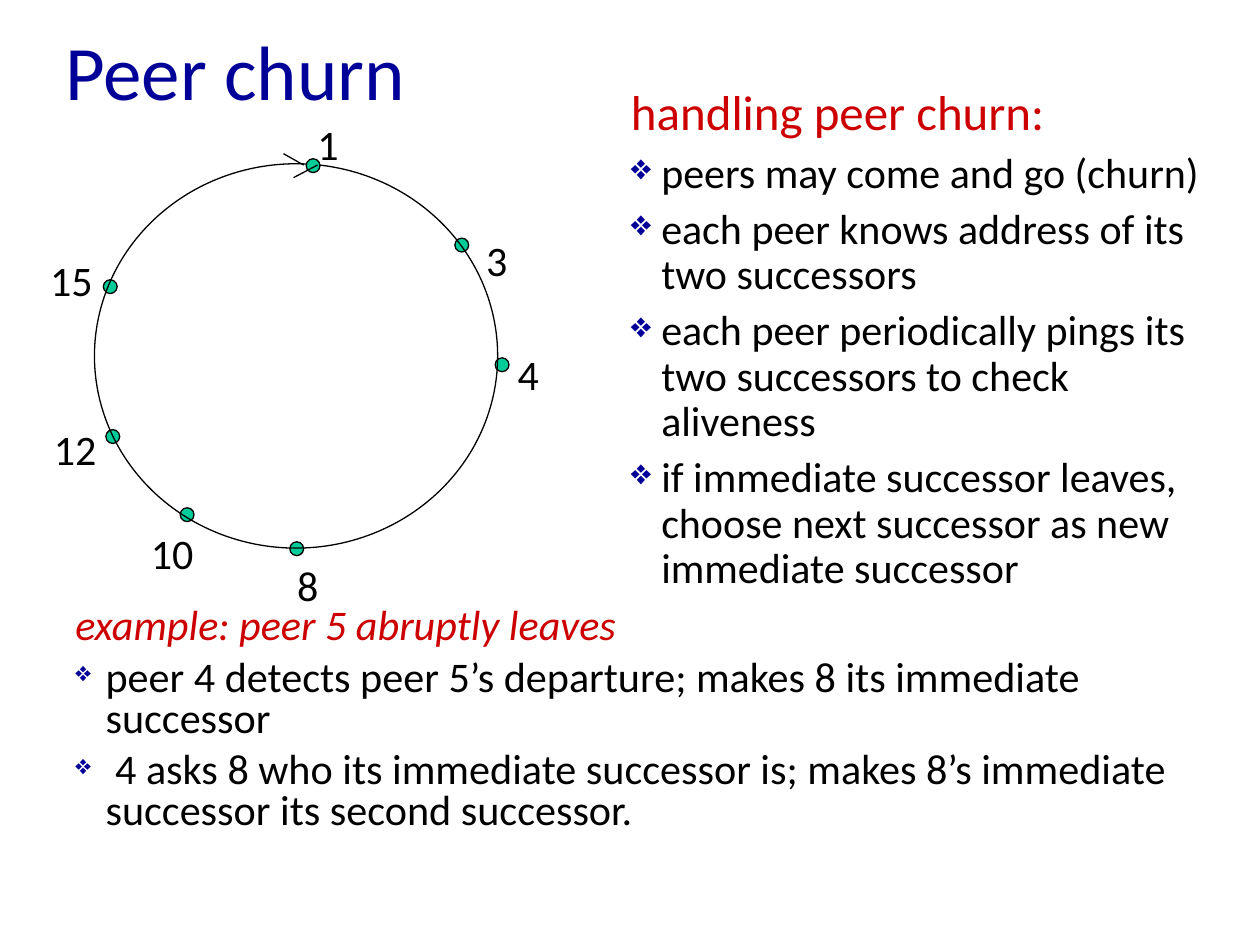
from lxml.etree import SubElement
from pptx import Presentation
from pptx.dml.color import RGBColor
from pptx.enum.shapes import MSO_CONNECTOR as Connector, MSO_SHAPE as Shape
from pptx.enum.text import MSO_ANCHOR as Anchor
from pptx.oxml.ns import qn
from pptx.util import Inches, Pt

FONT = "Calibri"
BLUE, RED, BLACK, GREEN = "000099", "CC0000", "000000", "00CC99"
DOT = 0.11

# Peer number, dot left and top, label left and top
PEERS = [
    ("8", 2.3, 4.3, 2.26, 4.39),
    ("15", 0.82, 2.22, 0.3, 1.97),
    ("12", 0.84, 3.41, 0.33, 3.31),
    ("3", 3.61, 1.89, 3.76, 1.81),
    ("4", 3.93, 2.84, 4.01, 2.72),
    ("10", 1.43, 4.03, 1.1, 4.14),
    ("1", 2.43, 1.26, 2.42, 0.89),
]
ARROW = [(2.25, 1.22, 2.41, 1.31), (2.52, 1.31, 2.33, 1.41)]

HANDLING = [
    "peers may come and go (churn)",
    "each peer knows address of its two successors",
    "each peer periodically pings its \ntwo successors to check aliveness",
    "if immediate successor leaves, choose next successor as new immediate successor",
]
EXAMPLE = [
    "peer 4 detects peer 5’s departure; makes 8 its immediate successor",
    " 4 asks 8 who its immediate successor is; makes 8’s immediate successor its second successor.",
]


def color(value):
    return RGBColor.from_string(value)


def add_frame(page, left, top, width, height, wrap=True, anchor=Anchor.TOP):
    box = page.shapes.add_textbox(Inches(left), Inches(top), Inches(width), Inches(height))
    frame = box.text_frame
    frame.word_wrap = wrap
    frame.vertical_anchor = anchor
    return frame


def add_bullet(para, percent):
    props = para._p.get_or_add_pPr()
    props.set("marL", str(Inches(0.24)))
    props.set("indent", str(-Inches(0.24)))
    fill = SubElement(props, qn("a:buClr"))
    SubElement(fill, qn("a:srgbClr"), val=BLUE)
    SubElement(props, qn("a:buSzPct"), val=str(percent * 1000))
    SubElement(props, qn("a:buChar"), char="❖")


def write(frame, text, size=24, ink=BLACK, italic=False, before=0, spacing=None, bullet=None):
    """Fill the first paragraph of the frame, or add one after it."""
    first = frame.paragraphs[0]
    para = frame.add_paragraph() if first.runs else first
    para.space_before = Pt(before)
    if spacing:
        para.line_spacing = spacing
    if bullet:
        add_bullet(para, bullet)
    for number, line in enumerate(text.split("\n")):
        if number:
            para.add_line_break()
        span = para.add_run()
        span.text = line
        font = span.font
        font.name, font.size, font.italic = FONT, Pt(size), italic
        font.color.rgb = color(ink)


def add_oval(page, left, top, width, height, fill=None):
    oval = page.shapes.add_shape(
        Shape.OVAL, Inches(left), Inches(top), Inches(width), Inches(height))
    oval.shadow.inherit = False
    if fill:
        oval.fill.solid()
        oval.fill.fore_color.rgb = color(fill)
    else:
        oval.fill.background()
    oval.line.color.rgb = color(BLACK)
    oval.line.width = Pt(0.75)


def add_line(page, *ends):
    line = page.shapes.add_connector(Connector.STRAIGHT, *map(Inches, ends))
    line.line.color.rgb = color(BLACK)
    line.line.width = Pt(0.75)
    SubElement(line._element.spPr, qn("a:effectLst"))


def add_title(page, *area):
    write(add_frame(page, *area, anchor=Anchor.MIDDLE), "Peer churn", size=44, ink=BLUE)


def add_ring(page, left, top, width, height):
    # Peers and arrow are stored for a ring at (0.75, 1.3)
    dx, dy = left - 0.75, top - 1.3

    def add_dot(peer):
        add_oval(page, peer[1] + dx, peer[2] + dy, DOT, DOT, GREEN)

    # Peer 1 lies above the ring, the others below it
    for peer in PEERS[:-1]:
        add_dot(peer)
    add_oval(page, left, top, width, height)
    for number, _, _, label_left, label_top in PEERS:
        label_width = 0.2 + 0.17 * len(number)
        frame = add_frame(page, label_left + dx, label_top + dy, label_width, 0.5, wrap=False)
        write(frame, number, before=6)
    add_dot(PEERS[-1])
    # Direction arrow at peer 1
    for x1, y1, x2, y2 in ARROW:
        add_line(page, x1 + dx, y1 + dy, x2 + dx, y2 + dy)


def add_handling(page, *area):
    frame = add_frame(page, *area)
    write(frame, "handling peer churn:", size=28, ink=RED, before=7)
    for text in HANDLING:
        write(frame, text, before=6, spacing=Pt(26), bullet=85)


def add_example(page, *area):
    frame = add_frame(page, *area)
    style = dict(size=24.1, before=6.5, spacing=0.8)
    write(frame, "example: peer 5 abruptly leaves", ink=RED, italic=True, **style)
    for text in EXAMPLE:
        write(frame, text, bullet=65, **style)


def main():
    deck = Presentation()
    deck.slide_width, deck.slide_height = Inches(10), Inches(7.5)
    page = deck.slides.add_slide(deck.slide_layouts[6])
    add_title(page, 0.42, 0, 9, 1.11)
    add_example(page, 0.5, 4.78, 9, 2.33)
    add_ring(page, 0.75, 1.3, 3.2, 3.05)
    add_handling(page, 4.91, 0.6, 4.84, 6.91)
    deck.save("out.pptx")


if __name__ == "__main__":
    main()
